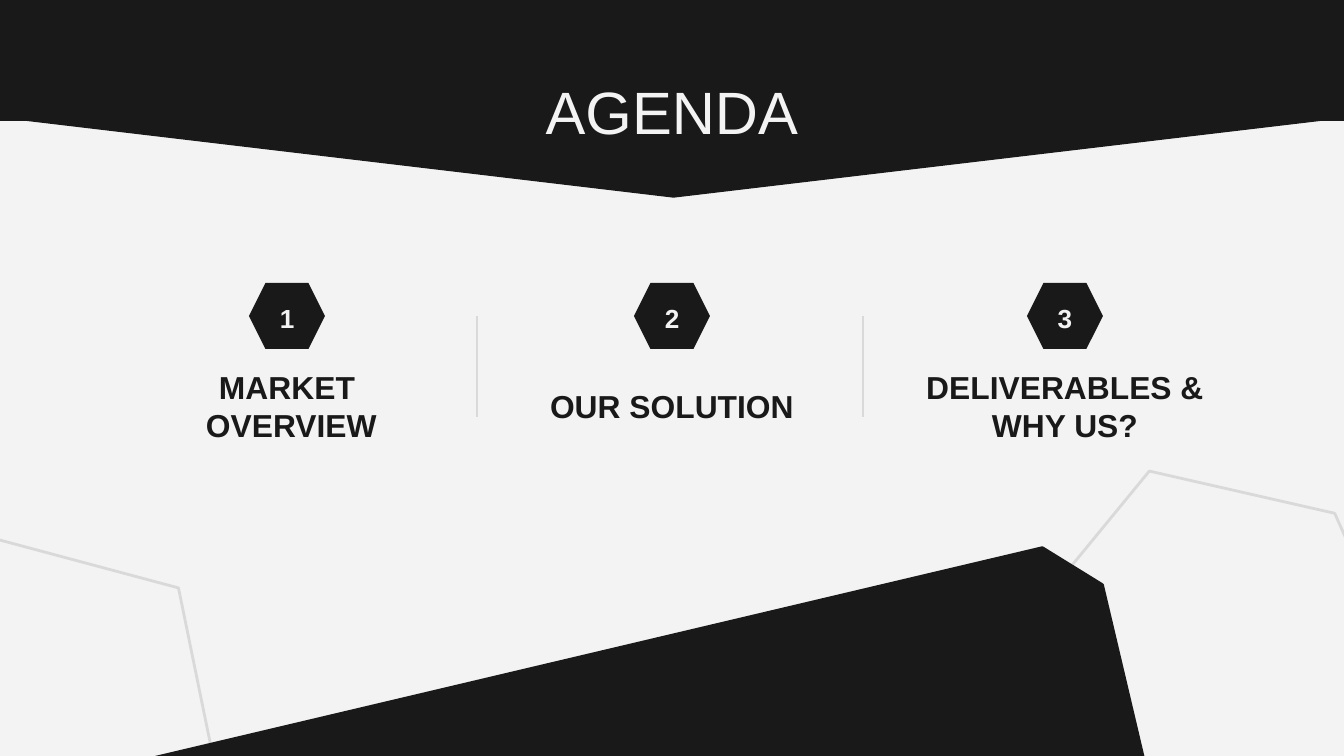
import pptx
import pptx.util
import pptx.dml.color
import pptx.enum.shapes
import pptx.enum.text
import pptx.oxml.ns
import lxml.etree

DARK, LIGHT, GREY = "191919", "F3F3F3", "D9D9D9"
SHAPE = pptx.enum.shapes.MSO_SHAPE
ANCHOR = pptx.enum.text.MSO_ANCHOR
PX = 914400 / 134.4

AGENDA = [
    (287, ["MARKET", " OVERVIEW"], 235),
    (672, ["OUR SOLUTION"], 271),
    (1065, ["DELIVERABLES & WHY US?"], 323),
]
BANNER = [
    (SHAPE.ISOSCELES_TRIANGLE, (-1, 117, 1349, 80), 180, DARK, DARK, 0.75),
    (SHAPE.RECTANGLE, (-1, -5, 1349, 126), 0, DARK, None, 0),
]
OUTLINES = [
    (SHAPE.HEXAGON, (-210, 548, 434, 340), 15, None, GREY, 1.5),
    (SHAPE.HEXAGON, (980, 511, 434, 340), 309.4, None, GREY, 1.5),
]
PANELS = [
    (SHAPE.RECTANGLE, (751, 466, 223, 156), 0, LIGHT, None, 0),
    (SHAPE.RECTANGLE, (343, 444, 223, 156), 0, LIGHT, None, 0),
]
FOOTER = (SHAPE.SNIP_2_DIAG_RECTANGLE, (-575, 731, 1723, 298), 346.7, DARK, DARK, 2)
DIVIDERS = [477, 863]


def px(n):
    return pptx.util.Emu(round(n * PX))


def color(value):
    return pptx.dml.color.RGBColor.from_string(value)


def add_shape(kind, box, rotation, fill, line, width):
    s = slide.shapes.add_shape(kind, *map(px, box))
    s.shadow.inherit = False
    s.rotation = rotation
    if fill:
        s.fill.solid()
        s.fill.fore_color.rgb = color(fill)
    else:
        s.fill.background()
    if line:
        s.line.color.rgb = color(line)
        s.line.width = pptx.util.Pt(width)
    else:
        s.line.fill.background()


def add_text(lines, box, size, rgb, bold, anchor):
    tf = slide.shapes.add_textbox(*map(px, box)).text_frame
    tf.word_wrap = True
    tf.vertical_anchor = anchor
    tf.margin_left = tf.margin_right = tf.margin_top = tf.margin_bottom = pptx.util.Inches(0.1)
    tf.text = "\n".join(lines)
    for p in tf.paragraphs:
        p.alignment = pptx.enum.text.PP_ALIGN.CENTER
        p.font.name = "Arial"
        p.font.size = pptx.util.Pt(size)
        p.font.bold = bold
        p.font.color.rgb = color(rgb)


def add_divider(x):
    line = slide.shapes.add_connector(
        pptx.enum.shapes.MSO_CONNECTOR.STRAIGHT, px(x), px(316), px(x), px(417))
    line.line.color.rgb = color(GREY)
    line.line.width = pptx.util.Pt(1.5)
    lxml.etree.SubElement(line._element.spPr, pptx.oxml.ns.qn("a:effectLst"))


prs = pptx.Presentation()
prs.slide_width, prs.slide_height = px(1344), px(756)
slide = prs.slides.add_slide(prs.slide_layouts[6])
slide.background.fill.solid()
slide.background.fill.fore_color.rgb = color(LIGHT)

for center, lines, width in AGENDA:
    add_shape(SHAPE.HEXAGON, (center - 38, 283, 76, 66), 0, DARK, None, 0)
for part in BANNER:
    add_shape(*part)
add_text(["AGENDA"], (453, 59, 438, 101), 32, LIGHT, False, ANCHOR.BOTTOM)
for part in OUTLINES + PANELS:
    add_shape(*part)
for x in DIVIDERS:
    add_divider(x)
for number, (center, lines, width) in enumerate(AGENDA, 1):
    add_text(lines, (center - width / 2, 345, width, 121), 17, DARK, True, ANCHOR.MIDDLE)
    add_text([str(number)], (center - 55, 296, 110, 44), 14, LIGHT, True, ANCHOR.MIDDLE)
add_shape(*FOOTER)

prs.save("out.pptx")
